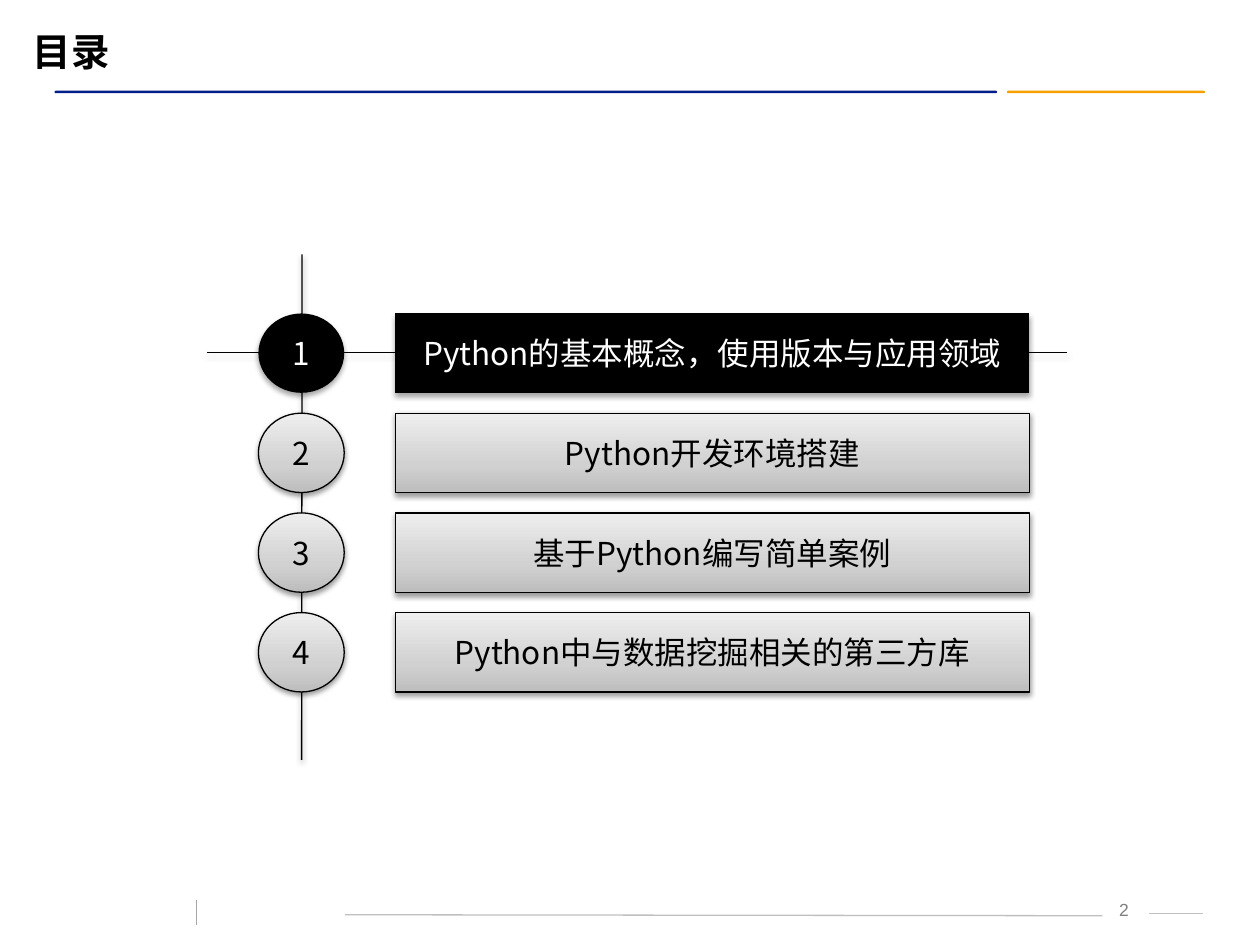
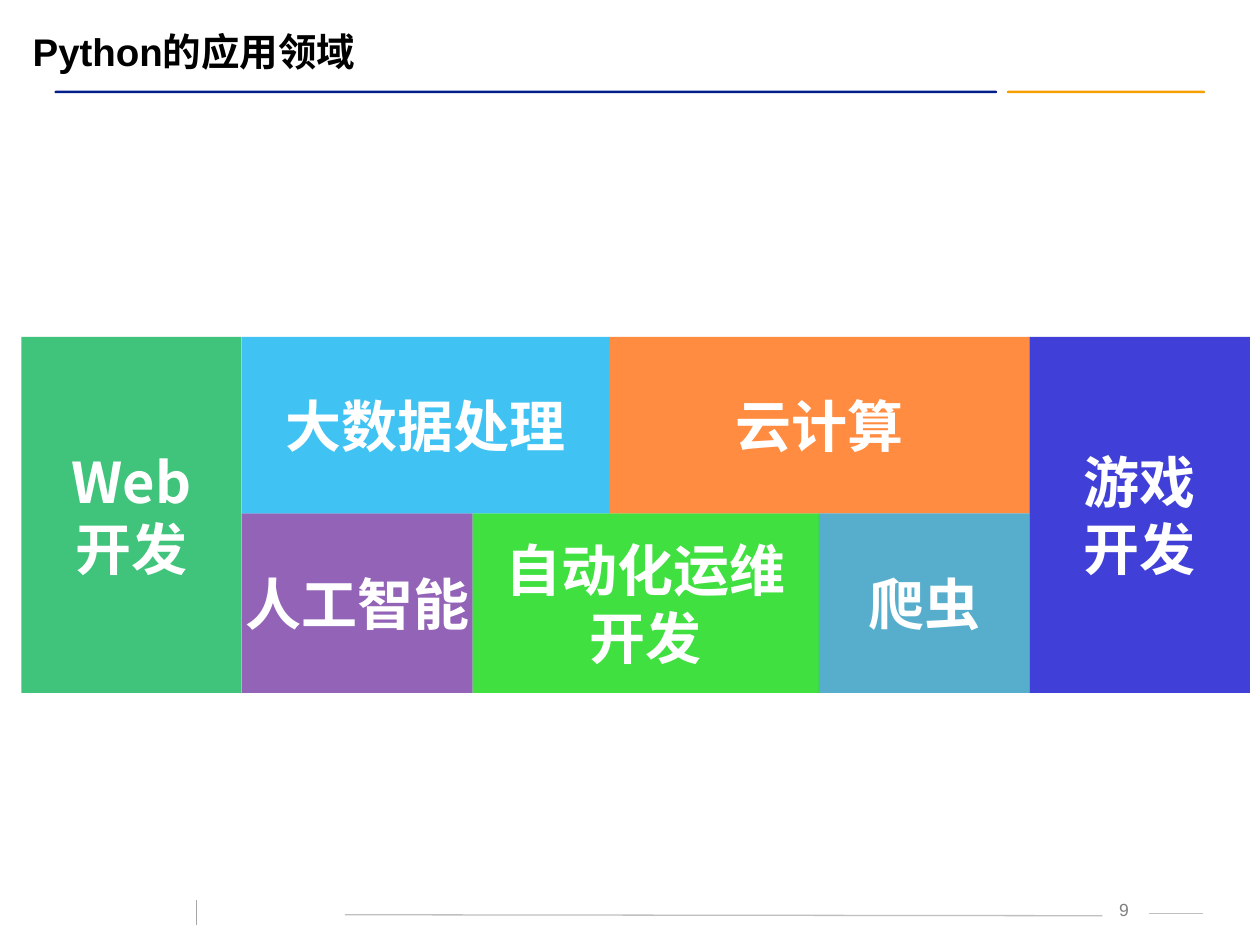
import pptx
import pptx.util
import pptx.oxml
import pptx.oxml.ns
import pptx.dml.color
import pptx.enum.shapes
import pptx.enum.text
from lxml import etree
from pptx.util import Cm

SHAPES = pptx.enum.shapes.MSO_SHAPE
ALIGN = pptx.enum.text.PP_ALIGN
ANCHOR = pptx.enum.text.MSO_ANCHOR
qn = pptx.oxml.ns.qn

LATIN, CHINESE = "Arial", "Noto Sans CJK SC"
BLACK, WHITE = "000000", "FFFFFF"
NAVY, AMBER = "031D89", "F5A000"
PALE_GRAY, MID_GRAY, TEXT_GRAY = "BFBFBF", "A6A6A6", "7F7F7F"
SILVER = ((0, "BDBDBD"), (35, "D1D1D1"), (100, "EEEEEE"))

AGENDA = (
    "Python的基本概念，使用版本与应用领域",
    "Python开发环境搭建",
    "基于Python编写简单案例",
    "Python中与数据挖掘相关的第三方库",
)

# Tile edges in cm; the two rows share their outer columns
TOP, MIDDLE, BOTTOM = 6.79, 10.35, 13.97
FIELDS = (  # text, left, top, right, bottom, colour, side margin
    ("Web\n开发", 0.43, TOP, 4.87, BOTTOM, "00B050", 0.25),
    ("人工智能", 4.87, MIDDLE, 9.53, BOTTOM, "7030A0", 0),
    ("自动化运维开发", 9.53, MIDDLE, 16.51, BOTTOM, "00D600", 0.25),
    ("大数据处理", 4.87, TOP, 12.28, MIDDLE, "00B0F0", 0.25),
    ("游戏\n开发", 20.75, TOP, 25.2, BOTTOM, "0000CC", 0.25),
    ("云计算", 12.28, TOP, 20.75, MIDDLE, "FF6600", 0.25),
    ("爬虫", 16.51, MIDDLE, 20.75, BOTTOM, "1E93BC", 0.25),
)


def color(value):
    return pptx.dml.color.RGBColor.from_string(value)


def write(box, text, size=18, font=CHINESE, ink=BLACK, bold=False,
          align=ALIGN.CENTER, anchor=ANCHOR.MIDDLE, wrap=True, side=0.25):
    """Fill a box with text, one paragraph per line."""
    frame = box.text_frame
    frame.auto_size = pptx.enum.text.MSO_AUTO_SIZE.NONE
    frame.word_wrap = wrap
    frame.vertical_anchor = anchor
    frame.margin_left = frame.margin_right = Cm(side)
    frame.text = text
    for para in frame.paragraphs:
        para.alignment = align
        for span in para.runs:
            span.font.size = pptx.util.Pt(size)
            span.font.name = font
            span.font.bold = bold
            span.font.color.rgb = color(ink)
            east_asian = etree.SubElement(span.font._element, qn("a:ea"))
            east_asian.set("typeface", CHINESE)


def add_shadow(effects, alpha=38, distance=1.6):
    """Put a soft downward shadow into an effect list."""
    effects.append(pptx.oxml.parse_xml(
        f'<a:outerShdw {pptx.oxml.ns.nsdecls("a")} blurRad="{int(3.1 * 12700)}" '
        f'dist="{int(distance * 12700)}" dir="5400000" rotWithShape="0">'
        f'<a:srgbClr val="{BLACK}"><a:alpha val="{alpha * 1000}"/></a:srgbClr>'
        '</a:outerShdw>'))


def add_box(page, kind, left, top, width, height, fill):
    """Add a flat shape without outline."""
    box = page.shapes.add_shape(kind, Cm(left), Cm(top), Cm(width), Cm(height))
    box.shadow.inherit = False
    box.fill.solid()
    box.fill.fore_color.rgb = color(fill)
    box.line.fill.background()
    return box


def add_line(page, start, end, ink, shadow=False):
    line = page.shapes.add_connector(
        pptx.enum.shapes.MSO_CONNECTOR.STRAIGHT,
        Cm(start[0]), Cm(start[1]), Cm(end[0]), Cm(end[1]))
    line.line.color.rgb = color(ink)
    line.line.width = pptx.util.Pt(0.75)
    effects = etree.SubElement(line._element.spPr, qn("a:effectLst"))
    if shadow:
        add_shadow(effects)


def make_silver(box):
    """Give a shape the silver gradient and a thin black outline."""
    box.fill.gradient()
    box.fill.gradient_angle = 90
    stops = box._element.spPr.find(qn("a:gradFill")).find(qn("a:gsLst"))
    for stop in list(stops):
        stops.remove(stop)
    for position, value in SILVER:
        stop = etree.SubElement(stops, qn("a:gs"), pos=str(position * 1000))
        etree.SubElement(stop, qn("a:srgbClr"), val=value)
    box.line.color.rgb = color(BLACK)
    box.line.width = pptx.util.Pt(0.75)


def add_agenda_box(page, kind, left, top, width, text, active):
    box = add_box(page, kind, left, top, width, 1.6, BLACK)
    if not active:
        make_silver(box)
    effects = box._element.spPr.find(qn("a:effectLst"))
    add_shadow(effects, *((35, 1.8) if active else (38, 1.6)))
    write(box, text, ink=WHITE if active else BLACK, wrap=False)


def add_tile(page, text, left, top, right, bottom, fill, side):
    tile = add_box(page, SHAPES.RECTANGLE, left, top, right - left, bottom - top, fill)
    tone = tile._element.spPr.find(qn("a:solidFill"))[0]
    etree.SubElement(tone, qn("a:alpha"), val="75000")
    write(tile, text, size=32, ink=WHITE, bold=True, side=side)


def add_page(deck, title, number):
    """Add a slide with title, header rules, footer lines and page number."""
    page = deck.slides.add_slide(deck.slide_layouts[5])
    for left, width, fill in ((20.3, 3.99, AMBER), (1.1, 19, NAVY)):
        rule = add_box(page, SHAPES.ROUNDED_RECTANGLE, left, 1.83, width, 0.05, fill)
        rule.adjustments[0] = 0.5

    add_line(page, (6.95, 18.44), (22.22, 18.46), PALE_GRAY)
    add_line(page, (23.17, 18.41), (24.25, 18.41), PALE_GRAY)
    add_line(page, (3.96, 18.15), (3.96, 18.65), MID_GRAY)
    box = page.shapes.add_textbox(Cm(22.06), Cm(18), Cm(1.2), Cm(0.64))
    write(box, str(number), size=10, font=LATIN, ink=TEXT_GRAY, anchor=ANCHOR.TOP)

    heading = page.shapes.title
    heading.left, heading.top = Cm(0.41), Cm(0.43)
    heading.width, heading.height = Cm(23.11), Cm(1.2)
    write(heading, title, size=22, font=LATIN, bold=True, align=ALIGN.LEFT)
    return page


def main():
    deck = pptx.Presentation()
    deck.slide_width, deck.slide_height = Cm(25.4), Cm(19.05)

    # Agenda: crossing lines behind numbered rows
    page = add_page(deck, "目录", 2)
    add_line(page, (6.09, 5.13), (6.08, 15.32), BLACK, shadow=True)
    add_line(page, (4.17, 7.11), (21.51, 7.11), BLACK, shadow=True)
    for index, topic in enumerate(AGENDA):
        top = 6.32 + 2.01 * index
        active = index == 0
        add_agenda_box(page, SHAPES.OVAL, 5.21, top, 1.73, str(index + 1), active)
        add_agenda_box(page, SHAPES.ACTION_BUTTON_CUSTOM, 7.97, top, 12.78, topic, active)

    # Application fields: mosaic of tiles
    page = add_page(deck, "Python的应用领域", 9)
    for field in FIELDS:
        add_tile(page, *field)

    deck.save("out.pptx")


if __name__ == "__main__":
    main()
